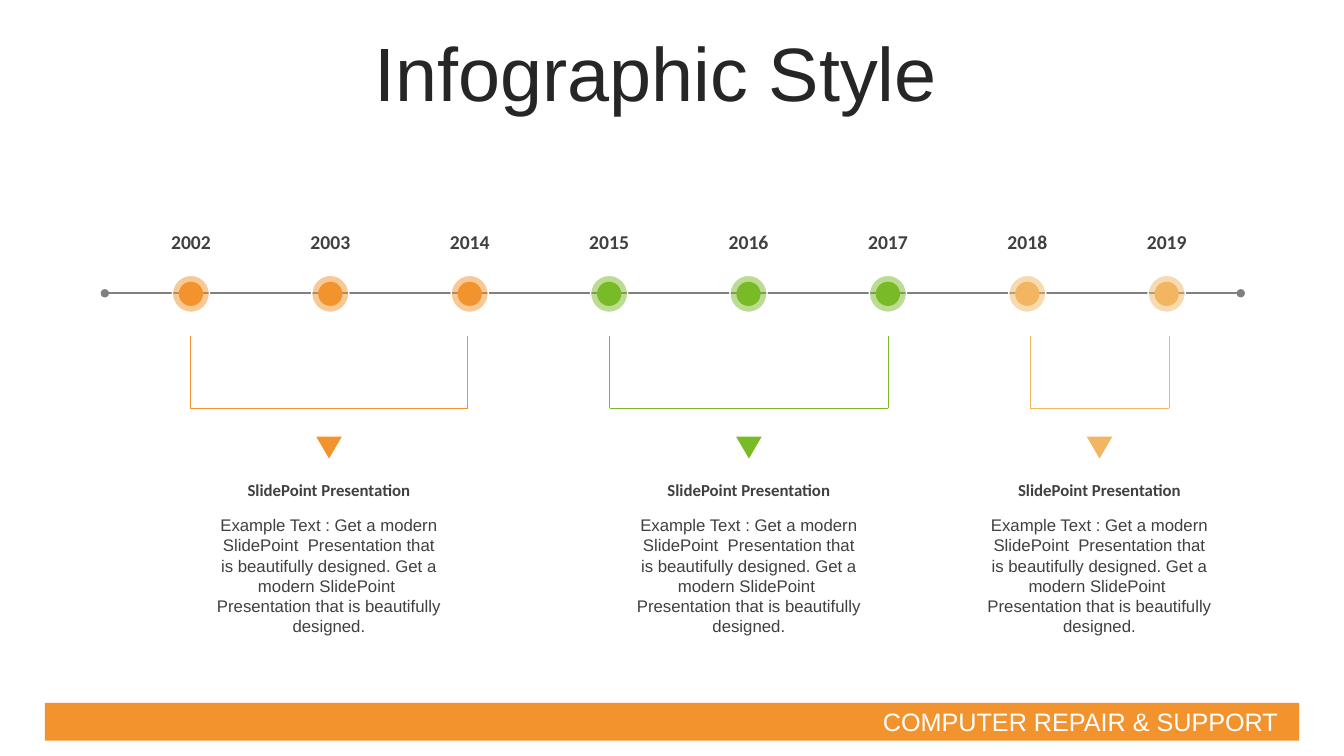
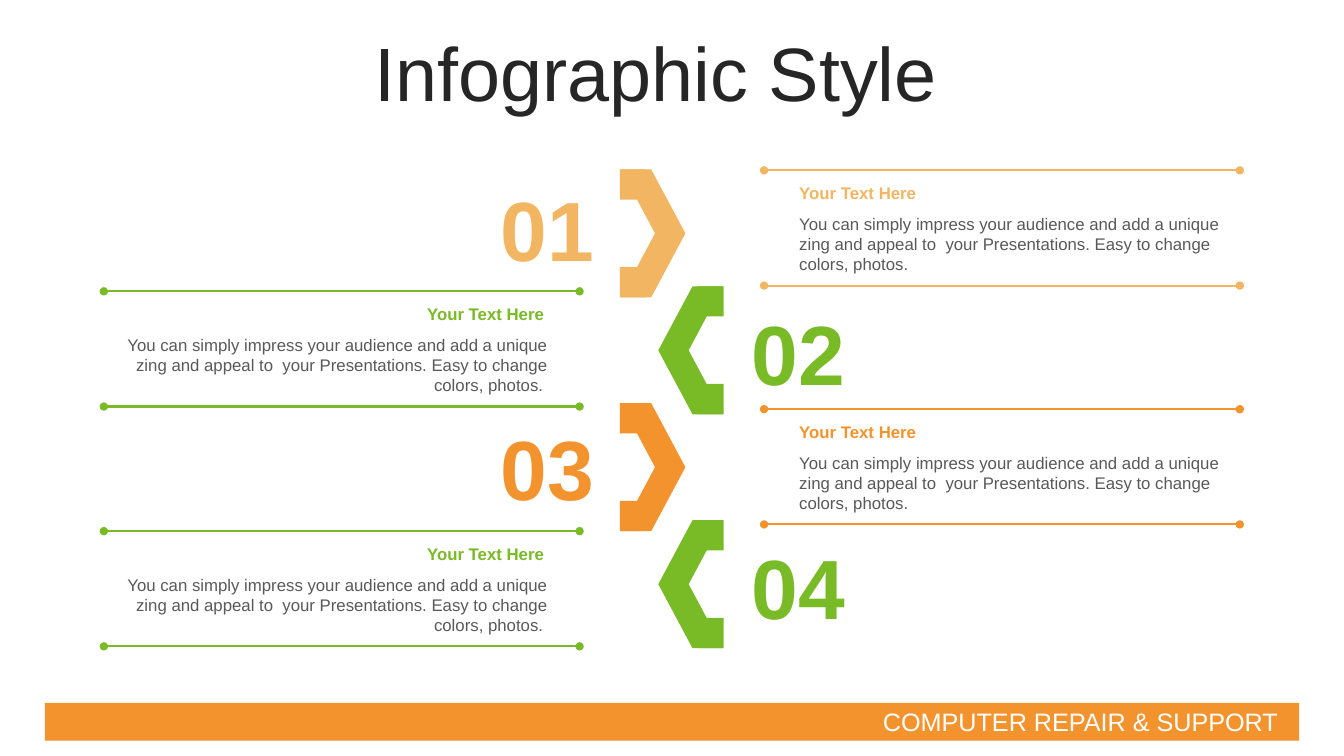
from dataclasses import dataclass

from lxml import etree
from pptx import Presentation, slide as sl
from pptx.dml import color as clr
from pptx.enum import shapes as es, text as et
from pptx.oxml import ns
from pptx.shapes import autoshape as au, connector as cn
from pptx.util import Pt

HUES = {
    "orange": "F3932D",
    "green": "79BA27",
    "sand": "F2B662",
    "white": "FFFFFF",
    "title": "262626",
    "dark": "404040",
    "body": "595959",
    "axis": "808080",
}
KIND = es.MSO_SHAPE
LEFT, MID, RIGHT = et.PP_ALIGN.LEFT, et.PP_ALIGN.CENTER, et.PP_ALIGN.RIGHT

TITLE = "Infographic Style"
BRAND = "COMPUTER REPAIR & SUPPORT"
HEAD = "SlidePoint Presentation"
STORY = (
    "Example Text : Get a modern SlidePoint  Presentation that is beautifully designed. "
    "Get a modern SlidePoint  Presentation that is beautifully designed."
)
NOTE = (
    "You can simply impress your audience and add a unique zing and appeal to  "
    "your Presentations. Easy to change colors, photos."
)


@dataclass(frozen=True)
class Box:
    x: float
    y: float
    w: float
    h: float


@dataclass(frozen=True)
class Font:
    size: float
    hue: str
    bold: bool = False
    face: str = "Arial"


@dataclass(frozen=True)
class Era:
    hue: str
    years: tuple[str, ...]
    left: float
    right: float


@dataclass(frozen=True)
class Step:
    num: str
    hue: str
    top: float
    rule: float


ERAS = (
    Era("orange", ("2002", "2003", "2014"), 136, 334),
    Era("green", ("2015", "2016", "2017"), 435.6, 634.3),
    Era("sand", ("2018", "2019"), 735.8, 835),
)
STEPS = (
    Step("01", "sand", 123.1, 121.7),
    Step("02", "green", 211.7, 208.1),
    Step("03", "orange", 293.8, 292.3),
    Step("04", "green", 378.7, 379.4),
)


def rgb(hue: str) -> clr.RGBColor:
    return clr.RGBColor.from_string(HUES[hue])


def style(frame, words: str, font: Font, align) -> None:
    frame.text = words
    para = frame.paragraphs[0]
    para.alignment = align
    para.font.size = Pt(font.size)
    para.font.bold = font.bold
    para.font.name = font.face
    para.font.color.rgb = rgb(font.hue)


def shape(page: sl.Slide, kind, box: Box, hue: str, edge: str = "",
          turn: float = 0, alpha: int = 100) -> au.Shape:
    item = page.shapes.add_shape(kind, Pt(box.x), Pt(box.y), Pt(box.w), Pt(box.h))
    item.shadow.inherit = False
    item.rotation = turn
    item.fill.solid()
    item.fill.fore_color.rgb = rgb(hue)
    if alpha < 100:
        tone = item.element.spPr.find(".//" + ns.qn("a:srgbClr"))
        etree.SubElement(tone, ns.qn("a:alpha"), val=str(alpha * 1000))
    if edge:
        item.line.color.rgb = rgb(edge)
        item.line.width = Pt(1)
    else:
        item.line.fill.background()
    return item


def write(page: sl.Slide, box: Box, words: str, font: Font,
          align=MID, pad: float = 7.2) -> None:
    item = page.shapes.add_textbox(Pt(box.x), Pt(box.y), Pt(box.w), Pt(box.h))
    frame = item.text_frame
    frame.word_wrap = True
    frame.margin_left = frame.margin_right = Pt(pad)
    style(frame, words, font, align)


def rule(page: sl.Slide, start: tuple[float, float], end: tuple[float, float],
         hue: str, width: float, dots: bool = False) -> cn.Connector:
    item = page.shapes.add_connector(
        es.MSO_CONNECTOR.STRAIGHT, *(Pt(n) for n in start + end))
    item.line.color.rgb = rgb(hue)
    item.line.width = Pt(width)
    if dots:
        for tag in ("a:headEnd", "a:tailEnd"):
            etree.SubElement(item.line._get_or_add_ln(), ns.qn(tag), type="oval")
    etree.SubElement(item.element.spPr, ns.qn("a:effectLst"))
    return item


def brand(page: sl.Slide) -> None:
    band = shape(page, KIND.RECTANGLE, Box(32, 502, 896, 27), "orange")
    frame = band.text_frame
    frame.margin_right = Pt(15)
    frame.margin_top = frame.margin_bottom = 0
    frame.vertical_anchor = et.MSO_ANCHOR.MIDDLE
    style(frame, BRAND, Font(18, "white"), RIGHT)
    page.slide_layout.shapes.element.append(band.element)


def begin(deck, layout: sl.SlideLayout) -> sl.Slide:
    page = deck.slides.add_slide(layout)
    head = page.shapes.title
    head.left, head.top, head.width, head.height = Pt(0), Pt(26.6), Pt(936.7), Pt(56.9)
    frame = head.text_frame
    frame.auto_size = et.MSO_AUTO_SIZE.NONE
    frame.vertical_anchor = et.MSO_ANCHOR.MIDDLE
    style(frame, TITLE, Font(54, "title"), MID)
    frame.paragraphs[0].line_spacing = 0.9
    frame.paragraphs[0].space_before = Pt(10)
    return page


def disc(page: sl.Slide, x: float, y: float, size: float, hue: str,
         edge: str = "", alpha: int = 100) -> None:
    box = Box(x - size / 2, y - size / 2, size, size)
    shape(page, KIND.OVAL, box, hue, edge, alpha=alpha)


def draw_era(page: sl.Slide, era: Era) -> None:
    top, low = 239.8, 291.6
    mid = (era.left + era.right) / 2
    for start, end in (
        ((era.left, top), (era.left, low)),
        ((era.right, low), (era.left, low)),
        ((era.right, top), (era.right, low)),
    ):
        rule(page, start, end, era.hue, 0.5)
    shape(page, KIND.ISOSCELES_TRIANGLE, Box(mid - 10.1, 311.4, 20.2, 17.3),
          era.hue, "white", 180)
    write(page, Box(mid - 80.65, 339.1, 161.3, 21.6), HEAD,
          Font(12, "dark", True, "Calibri"), pad=0)
    write(page, Box(mid - 80.65, 364.3, 161.3, 94.3), STORY, Font(12, "dark"), pad=0)


def draw_years(page: sl.Slide) -> None:
    rule(page, (74.9, 209.5), (886.3, 209.5), "axis", 1.25, True)
    marks = [(year, era.hue) for era in ERAS for year in era.years]
    for i, (year, hue) in enumerate(marks):
        x, y = 136.4 + 99.57 * i, 209.9
        disc(page, x, y, 26.6, hue, "white", 50)
        disc(page, x, y, 17.3, hue)
        write(page, Box(x - 29.15, 160.6, 58.3, 24.5), year,
              Font(14, "dark", True, "Calibri"))
    for era in ERAS:
        draw_era(page, era)


def draw_step(page: sl.Slide, i: int, step: Step) -> None:
    back = i % 2 == 1
    top, tall, stub = 121 + 83.52 * i, 91.4, 21.6
    arrow = shape(page, KIND.CHEVRON, Box(470.2 if back else 443.5, top, 46.1, tall),
                  step.hue, turn=180 if back else 0)
    arrow.adjustments[0] = 0.53
    for y in (top, top + tall - stub):
        shape(page, KIND.RECTANGLE, Box(498.2 if back else 442.8, y, 18.7, stub), step.hue)
    write(page, Box(529.2 if back else 350, step.top, 82.1, 79.9), step.num,
          Font(60, step.hue, True))
    x, align, tail = (82.1, RIGHT, " ") if back else (563.8, LEFT, "")
    write(page, Box(x, step.rule + 5.4, 313.6, 21.6), "Your Text Here",
          Font(12, step.hue, True), align)
    write(page, Box(x, step.rule + 27.4, 316.4, 51.1), NOTE + tail,
          Font(12, "body"), align)
    start = 74.2 if back else 545.8
    for y in (step.rule, step.rule + 82.3):
        rule(page, (start, y), (start + 339.8, y), step.hue, 1.5, True)


def main() -> None:
    deck = Presentation()
    deck.slide_width, deck.slide_height = Pt(960), Pt(540)
    layout = deck.slide_layouts[5]
    page = begin(deck, layout)
    brand(page)
    draw_years(page)
    page = begin(deck, layout)
    for i, step in enumerate(STEPS):
        draw_step(page, i, step)
    deck.save("out.pptx")


if __name__ == "__main__":
    main()
